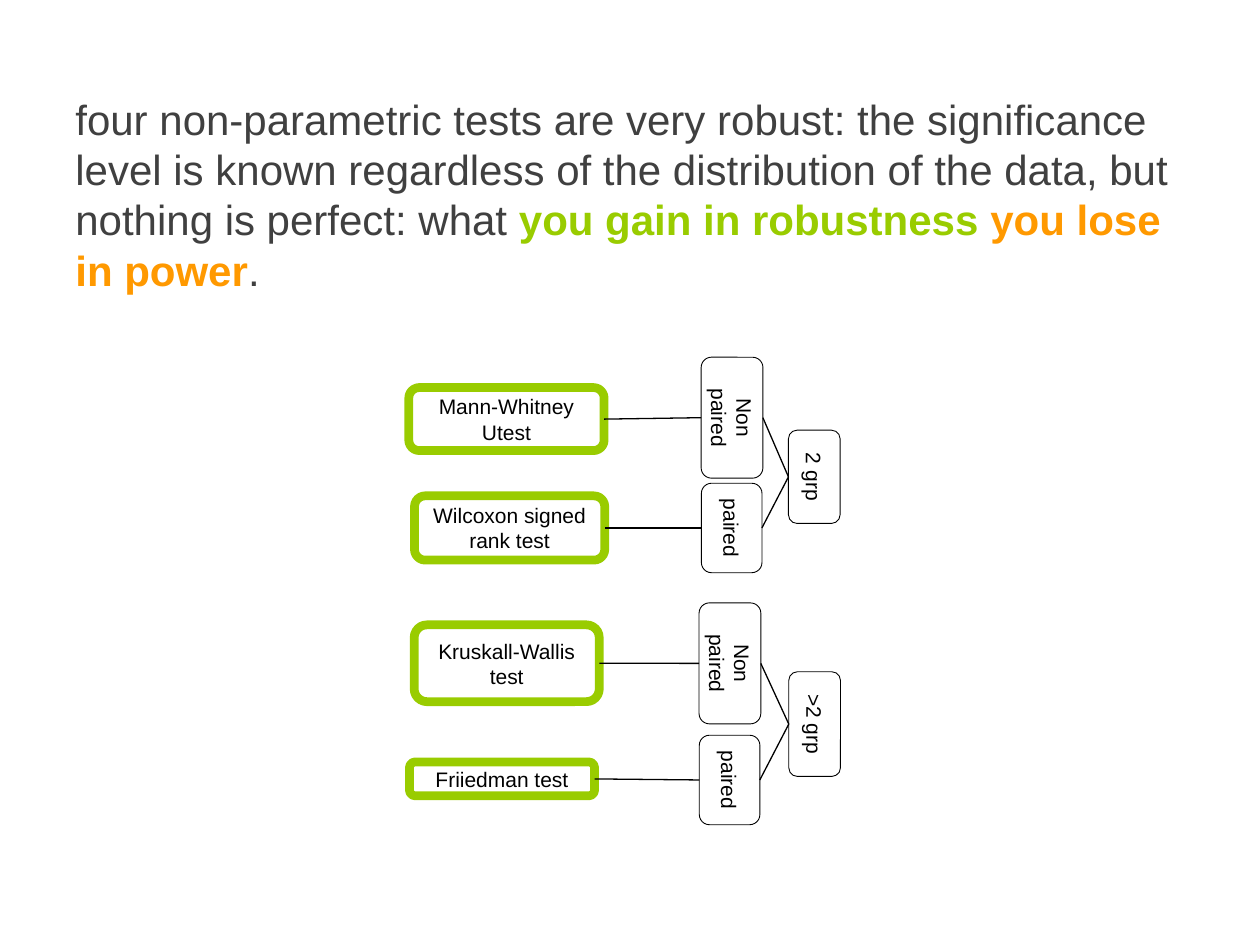
from dataclasses import dataclass

from lxml.etree import SubElement
from pptx import Presentation
from pptx.dml.color import RGBColor as RGB
from pptx.enum.shapes import MSO_CONNECTOR as Connector, MSO_SHAPE as Shape
from pptx.enum.text import MSO_ANCHOR as Anchor, PP_ALIGN as Align
from pptx.oxml.ns import qn
from pptx.util import Pt


@dataclass(frozen=True)
class Theme:
    font: str = "Arial"
    ink: RGB = RGB(0x00, 0x00, 0x00)
    paper: RGB = RGB(0xFF, 0xFF, 0xFF)
    body: RGB = RGB(0x40, 0x40, 0x40)
    gain: RGB = RGB(0x99, 0xCC, 0x00)
    loss: RGB = RGB(0xFF, 0x99, 0x00)
    body_size: int = 24
    label_size: int = 12


theme = Theme()
presentation = Presentation()
presentation.slide_width, presentation.slide_height = Pt(720), Pt(540)
slide = presentation.slides.add_slide(presentation.slide_layouts[6])


def add_box(label, x, y, width, height, border, border_width, rotation=0):
    box = slide.shapes.add_shape(
        Shape.ROUNDED_RECTANGLE, Pt(x - width / 2), Pt(y - height / 2), Pt(width), Pt(height)
    )
    box.rotation = rotation
    box.shadow.inherit = False
    box.fill.solid()
    box.fill.fore_color.rgb = theme.paper
    box.line.color.rgb = border
    box.line.width = Pt(border_width)
    frame = box.text_frame
    frame.word_wrap = True
    frame.vertical_anchor = Anchor.MIDDLE
    frame.margin_top = frame.margin_bottom = 0
    paragraph = frame.paragraphs[0]
    paragraph.text = label
    paragraph.alignment = Align.CENTER
    paragraph.font.name = theme.font
    paragraph.font.size = Pt(theme.label_size)
    paragraph.font.color.rgb = theme.ink


def add_link(x1, y1, x2, y2):
    link = slide.shapes.add_connector(Connector.STRAIGHT, Pt(x1), Pt(y1), Pt(x2), Pt(y2))
    link.line.color.rgb = theme.ink
    link.line.width = Pt(0.75)
    SubElement(link._element.spPr, qn("a:effectLst"))


statement = slide.shapes.add_textbox(Pt(36), Pt(49.7), Pt(642.2), Pt(462.2)).text_frame
statement.word_wrap = True
message = statement.paragraphs[0]
message.font.name = theme.font
message.font.size = Pt(theme.body_size)
for wording, color, bold in (
    (
        "four non-parametric tests are very robust: the significance level is known "
        "regardless of the distribution of the data, but nothing is perfect: what ",
        theme.body, False,
    ),
    ("you gain in robustness ", theme.gain, True),
    ("you lose in power", theme.loss, True),
    (".", theme.body, False),
):
    run = message.add_run()
    run.text = wording
    run.font.color.rgb = color
    run.font.bold = bold

pairing_sizes = {"Non paired": (69.1, 35.3), "paired": (51.1, 34.6)}
group_height = 29.5
groups = (
    ("2 grp", 465.3, 272.5, 53.3, (
        ("Non paired", 418.3, 238.7, "Mann-Whitney Utest", 289.4, 239.5, 111.6, 36),
        ("paired", 418.1, 301.7, "Wilcoxon signed rank test", 291.2, 301.7, 108.7, 36.7),
    )),
    (">2 grp", 465.5, 413.8, 59.8, (
        ("Non paired", 417.1, 379.1, "Kruskall-Wallis test", 289.6, 379.0, 105.8, 43.9),
        ("paired", 416.9, 445.7, "Friiedman test", 286.9, 445.1, 105.8, 19.4),
    )),
)

for group, group_x, group_y, group_width, branches in groups:
    add_box(group, group_x, group_y, group_width, group_height, theme.ink, 0.5, 90)
    for pairing, pair_x, pair_y, test, test_x, test_y, test_width, test_height in branches:
        pair_width, pair_height = pairing_sizes[pairing]
        add_box(test, test_x, test_y, test_width, test_height, theme.gain, 5)
        add_box(pairing, pair_x, pair_y, pair_width, pair_height, theme.ink, 0.5, 90)
        add_link(group_x - group_height / 2, group_y, pair_x + pair_height / 2, pair_y)
        add_link(pair_x - pair_height / 2, pair_y, test_x + test_width / 2, test_y)

presentation.save("out.pptx")
